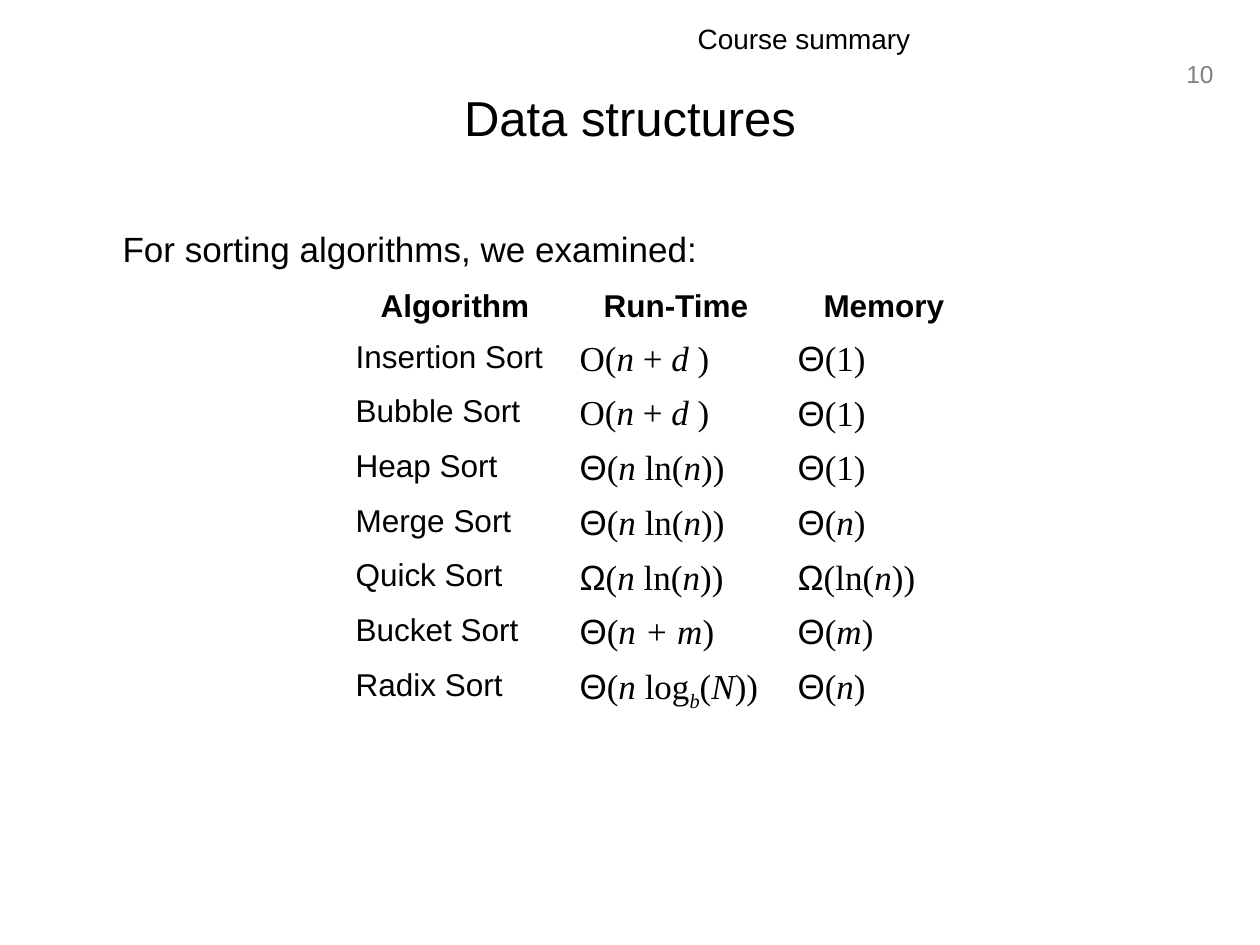
from dataclasses import dataclass

from pptx import Presentation
from pptx import util as u
from pptx.dml.color import RGBColor
from pptx.enum import text

SCALE = 914400 / 126


@dataclass(frozen=True)
class Theme:
    sans: str = "Arial"
    serif: str = "Times New Roman"
    ink: str = "000000"
    muted: str = "808080"
    title: int = 28
    body: int = 20
    cell: int = 18
    header: int = 16
    number: int = 14


THEME = Theme()
LEFT = text.PP_ALIGN.LEFT
CENTER = text.PP_ALIGN.CENTER
RIGHT = text.PP_ALIGN.RIGHT

HEADINGS = ["Algorithm", "Run-Time", "Memory"]
SORTS = [
    ("Insertion Sort", "O(*n* + *d *)", "Θ(1)"),
    ("Bubble Sort", "O(*n* + *d *)", "Θ(1)"),
    ("Heap Sort", "Θ(*n *ln(*n*))", "Θ(1)"),
    ("Merge Sort", "Θ(*n *ln(*n*))", "Θ(*n*)"),
    ("Quick Sort", "Ω(*n *ln(*n*))", "Ω(ln(*n*))"),
    ("Bucket Sort", "Θ(*n + m*)", "Θ(*m*)"),
    ("Radix Sort", "Θ(*n *log*_b*(*N*))", "Θ(*n*)"),
]
COLUMN_WIDTHS = [224, 218, 198]
HEADING_HEIGHT = 50
SORTS_HEIGHT = 382


def px(length):
    return u.Emu(round(length * SCALE))


def style(span, size, family=THEME.sans, color=THEME.ink, bold=False, italic=False):
    font = span.font
    font.name = family
    font.size = u.Pt(size)
    font.color.rgb = RGBColor.from_string(color)
    font.bold = bold
    font.italic = italic


def add_text(page, bounds, words, size, align=CENTER, color=THEME.ink,
             anchor=text.MSO_ANCHOR.TOP, indent=0):
    box = page.shapes.add_textbox(*map(px, bounds))
    frame = box.text_frame
    frame.word_wrap = True
    frame.vertical_anchor = anchor
    frame.margin_left += px(indent)
    frame.text = words
    para = frame.paragraphs[0]
    para.alignment = align
    style(para.runs[0], size, color=color)


def add_span(para, words, **look):
    span = para.add_run()
    span.text = words
    style(span, THEME.body, **look)
    return span


def write_formula(para, formula):
    if formula[0] in "ΘΩ":
        add_span(para, formula[0])
        formula = formula[1:]
    for index, part in enumerate(formula.split("*")):
        if part:
            span = add_span(para, part.lstrip("_"), family=THEME.serif,
                            italic=index % 2 == 1)
            if part.startswith("_"):
                span.font._element.set("baseline", "-25000")


def write_label(para, words, bold=False, align=LEFT):
    para.text = words
    para.alignment = align
    style(para.runs[0], THEME.cell, bold=bold)


def add_sort_table(page, left, top):
    table = page.shapes.add_table(
        len(SORTS) + 1, len(HEADINGS), px(left), px(top),
        px(sum(COLUMN_WIDTHS)), px(HEADING_HEIGHT + SORTS_HEIGHT)).table
    table.first_row = False
    table.horz_banding = False
    for column, width in zip(table.columns, COLUMN_WIDTHS):
        column.width = px(width)
    for index, row in enumerate(table.rows):
        row.height = px(SORTS_HEIGHT / len(SORTS) if index else HEADING_HEIGHT)
    for cell in table.iter_cells():
        cell.fill.background()
    for column, heading in enumerate(HEADINGS):
        write_label(table.cell(0, column).text_frame.paragraphs[0], heading, True, CENTER)
    for row, (name, *formulas) in enumerate(SORTS, 1):
        write_label(table.cell(row, 0).text_frame.paragraphs[0], name)
        for column, formula in enumerate(formulas, 1):
            write_formula(table.cell(row, column).text_frame.paragraphs[0], formula)


def main():
    deck = Presentation()
    deck.slide_width, deck.slide_height = px(1260), px(945)
    page = deck.slides.add_slide(deck.slide_layouts[6])
    add_text(page, (1171, 53, 55, 42), "10", THEME.number, RIGHT, THEME.muted)
    add_text(page, (402, 15, 804, 50), "Course summary", THEME.header)
    add_text(page, (63, 38, 1134, 158), "Data structures", THEME.title,
             anchor=text.MSO_ANCHOR.MIDDLE)
    add_text(page, (63, 221, 1134, 624), "For sorting algorithms, we examined:",
             THEME.body, LEFT, indent=47)
    add_sort_table(page, 343, 283)
    deck.save("out.pptx")


if __name__ == "__main__":
    main()
